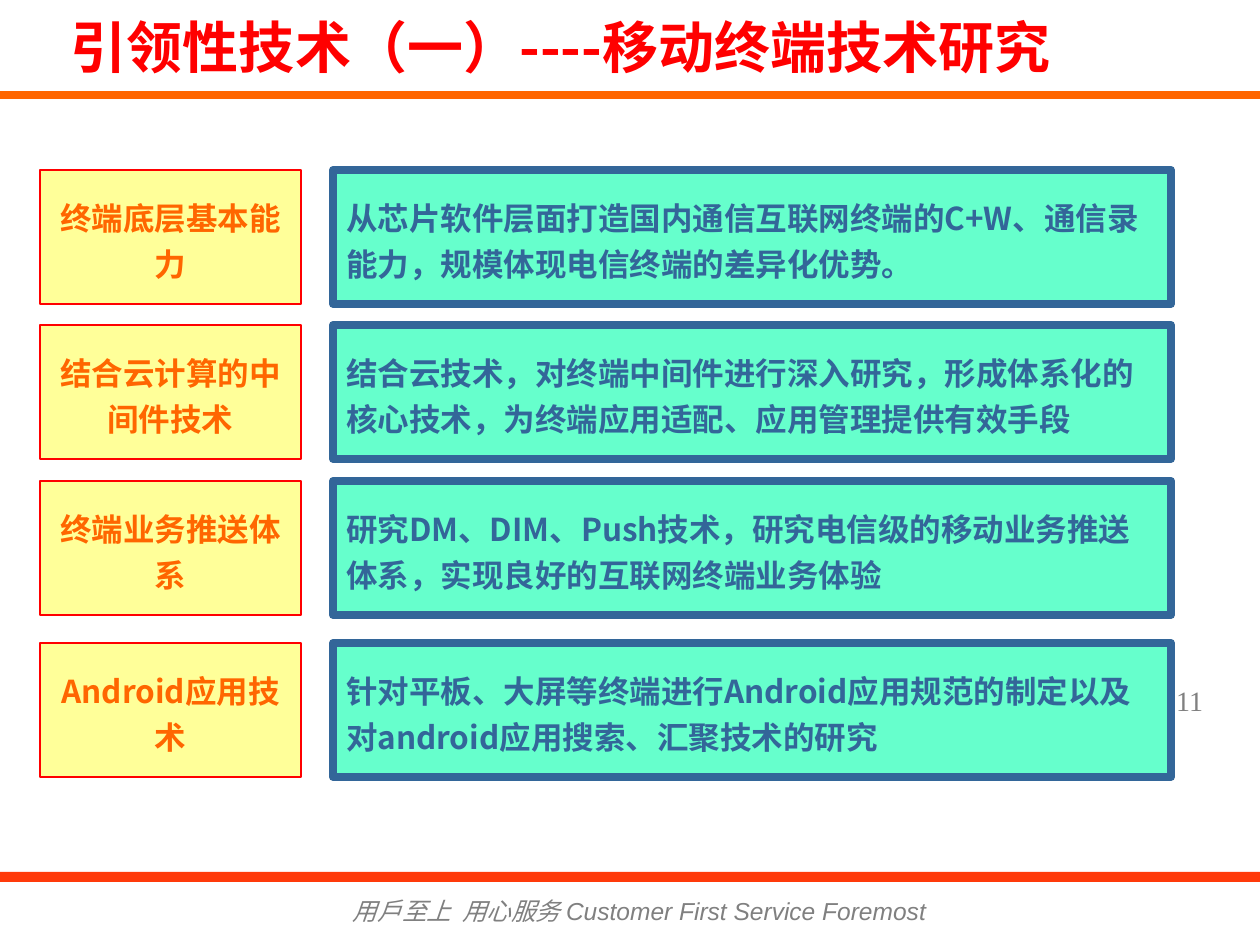
from lxml import etree
from pptx import Presentation
from pptx.dml.color import RGBColor
from pptx.enum.shapes import MSO_CONNECTOR, MSO_SHAPE
from pptx.enum.text import MSO_ANCHOR, PP_ALIGN
from pptx.oxml.ns import qn
from pptx.util import Emu, Pt

STRAIGHT = MSO_CONNECTOR.STRAIGHT
RECTANGLE = MSO_SHAPE.RECTANGLE
TOP, MIDDLE = MSO_ANCHOR.TOP, MSO_ANCHOR.MIDDLE
LEFT, CENTER, RIGHT = PP_ALIGN.LEFT, PP_ALIGN.CENTER, PP_ALIGN.RIGHT
PX = 914400 / 126
HEADING_FONT = "Noto Sans CJK SC"
COLORS = {
    "title": "FF0000", "rule": "FF6600", "band": "FF3A0A", "muted": "808080",
    "topic": "FFFF99", "topic_line": "FF0000", "topic_text": "FF6600",
    "detail": "66FFCC", "detail_line": "336699", "detail_text": "336699",
}
ROWS = [
    (170, "终端底层基本能力",
     "从芯片软件层面打造国内通信互联网终端的C+W、通信录能力，规模体现电信终端的差异化优势。"),
    (325, "结合云计算的中间件技术",
     "结合云技术，对终端中间件进行深入研究，形成体系化的核心技术，为终端应用适配、应用管理提供有效手段"),
    (481, "终端业务推送体系",
     "研究DM、DIM、Push技术，研究电信级的移动业务推送体系，实现良好的互联网终端业务体验"),
    (643, "Android应用技术",
     "针对平板、大屏等终端进行Android应用规范的制定以及对android应用搜索、汇聚技术的研究"),
]


def px(value):
    return Emu(round(value * PX))


def color(name):
    return RGBColor.from_string(COLORS[name])


class SlideBuilder:
    """Holds the shared style and the slide being built."""

    def __init__(self, slide):
        self.slide = slide

    def set_text(self, shape, text, size, ink, font=HEADING_FONT, bold=False,
                 italic=False, align=LEFT, anchor=TOP, spacing=None,
                 insets=(13, 6, 13, 6)):
        frame = shape.text_frame
        frame.word_wrap = True
        frame.vertical_anchor = anchor
        (frame.margin_left, frame.margin_top,
         frame.margin_right, frame.margin_bottom) = map(px, insets)
        frame.text = text
        paragraph = frame.paragraphs[0]
        paragraph.alignment = align
        paragraph.line_spacing = spacing
        run_font = paragraph.runs[0].font
        run_font.name, run_font.size = font, Pt(size)
        run_font.bold, run_font.italic = bold, italic
        run_font.color.rgb = color(ink)
        if font == HEADING_FONT:
            properties = paragraph.runs[0]._r.get_or_add_rPr()
            etree.SubElement(properties, qn("a:ea"), typeface=font)

    def text(self, left, top, width, height, text, size, ink, **style):
        shape = self.slide.shapes.add_textbox(px(left), px(top), px(width), px(height))
        self.set_text(shape, text, size, ink, **style)

    def box(self, left, top, width, height, fill, line=None, line_width=0):
        shape = self.slide.shapes.add_shape(
            RECTANGLE, px(left), px(top), px(width), px(height))
        shape.shadow.inherit = False
        shape.fill.solid()
        shape.fill.fore_color.rgb = color(fill)
        if line:
            shape.line.color.rgb = color(line)
            shape.line.width = Pt(line_width)
        else:
            shape.line.fill.background()
        return shape

    def card(self, left, top, width, kind, line_width, text, align):
        shape = self.box(left, top, width, 134, kind, f"{kind}_line", line_width)
        self.set_text(shape, text, 18, f"{kind}_text", bold=True, align=align,
                      anchor=MIDDLE, spacing=1.2)

    def rule(self, left, right, y, ink, width):
        connector = self.slide.shapes.add_connector(
            STRAIGHT, px(left), px(y), px(right), px(y))
        connector.line.color.rgb = color(ink)
        connector.line.width = Pt(width)
        etree.SubElement(connector._element.spPr, qn("a:effectLst"))


def main():
    presentation = Presentation()
    presentation.slide_width, presentation.slide_height = px(1260), px(945)
    builder = SlideBuilder(presentation.slides.add_slide(presentation.slide_layouts[6]))

    builder.box(0, 872, 1260, 10, "band")
    builder.text(340, 890, 620, 34, "用戶至上  用心服务 Customer First Service Foremost",
                 14, "muted", font="Arial", italic=True)
    builder.rule(0, 1260, 95, "rule", 4.5)
    builder.text(1135, 678, 95, 44, "11", 16, "muted", font="Times New Roman",
                 align=RIGHT, insets=(13, 6, 27, 6))
    builder.text(58, 12, 1145, 72, "引领性技术（一）----移动终端技术研究",
                 32, "title", bold=True, insets=(13, 0, 13, 0))
    for top, topic, detail in ROWS:
        builder.card(40, top, 261, "topic", 0.75, topic, CENTER)
        builder.card(333, top, 838, "detail", 4.5, detail, LEFT)

    presentation.save("out.pptx")


if __name__ == "__main__":
    main()
